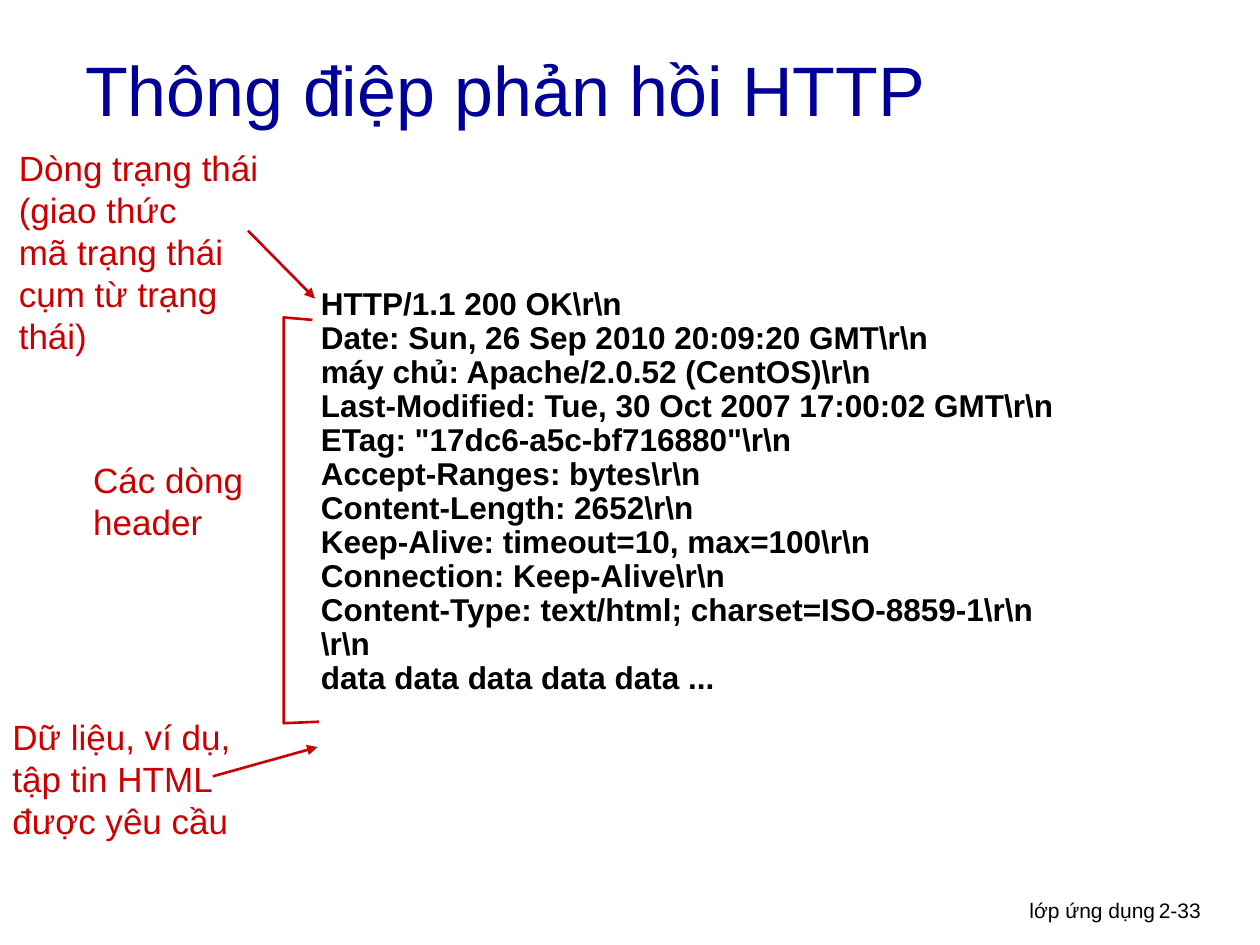
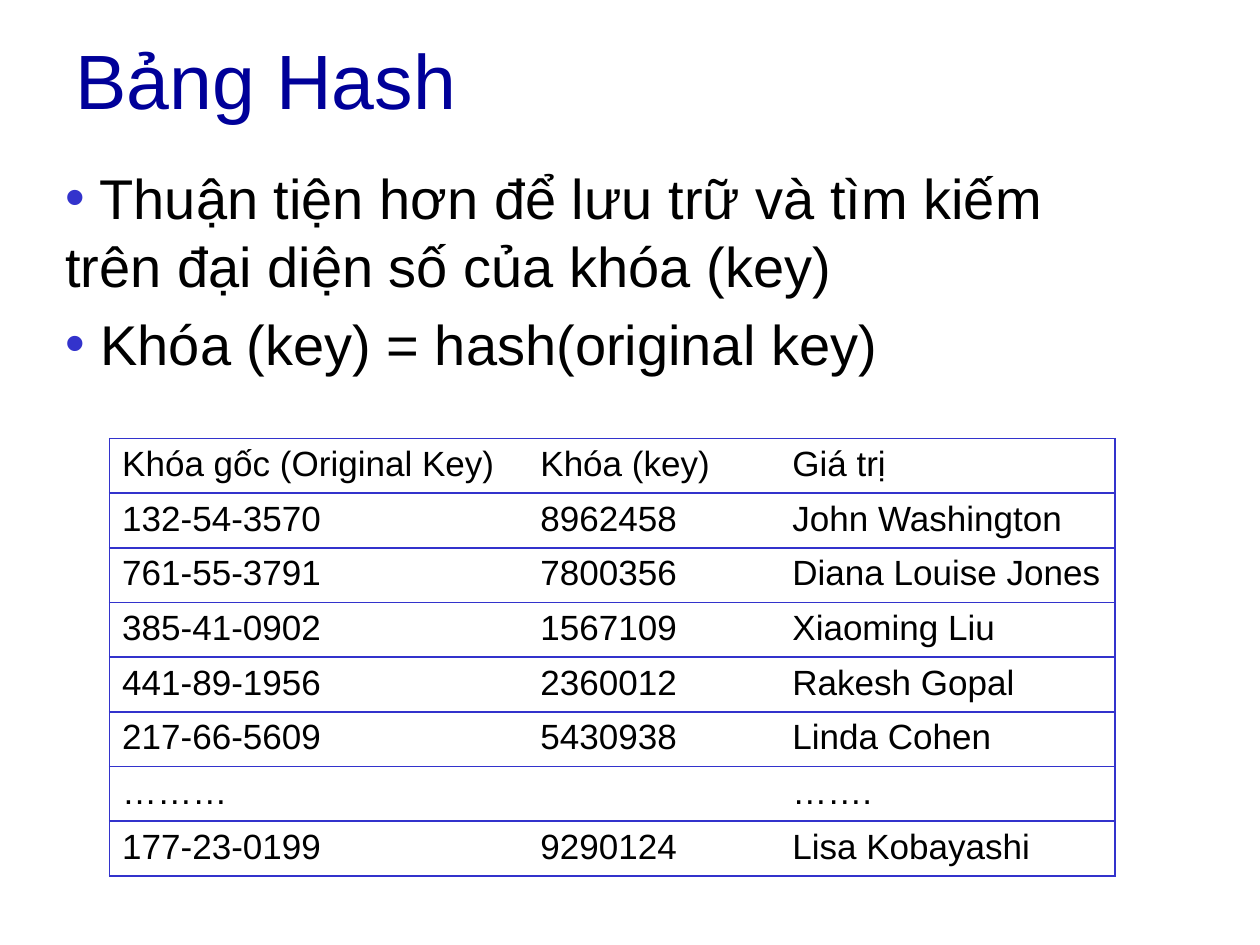
from dataclasses import dataclass

from lxml.etree import SubElement
from pptx import Presentation
from pptx.dml.color import RGBColor
from pptx.enum.shapes import MSO_CONNECTOR
from pptx.enum.text import MSO_ANCHOR, PP_ALIGN
from pptx.oxml.ns import qn
from pptx.util import Cm, Pt


@dataclass(frozen=True)
class Theme:
    """Colours, font and type sizes shared by the slides."""
    font: str = "Arial"
    title: str = "000099"
    body: str = "000000"
    accent: str = "CC0000"
    rule: str = "3333CC"
    paper: str = "FFFFFF"
    footer_size: int = 12
    code_size: int = 18
    label_size: int = 20
    bullet_size: int = 32
    title_size: int = 40
    big_title_size: int = 44
    arrow_width: float = 1.5
    border_width: float = 1


@dataclass(frozen=True)
class Box:
    """A rectangle measured in centimetres."""
    left: float
    top: float
    width: float
    height: float

    def lengths(self):
        """Return left, top, width and height as lengths."""
        return [Cm(value) for value in (self.left, self.top, self.width, self.height)]

    def inside(self, left, top, width, height):
        """Return a box placed relative to this one."""
        return Box(self.left + left, self.top + top, width, height)

    def point(self, across, down):
        """Return a point placed relative to this box."""
        return Cm(self.left + across), Cm(self.top + down)


THEME = Theme()
PAGE = Box(0, 0, 25.4, 19.05)

RESPONSE = r"""HTTP/1.1 200 OK\r\n
Date: Sun, 26 Sep 2010 20:09:20 GMT\r\n
máy chủ: Apache/2.0.52 (CentOS)\r\n
Last-Modified: Tue, 30 Oct 2007 17:00:02 GMT\r\n
ETag: "17dc6-a5c-bf716880"\r\n
Accept-Ranges: bytes\r\n
Content-Length: 2652\r\n
Keep-Alive: timeout=10, max=100\r\n
Connection: Keep-Alive\r\n
Content-Type: text/html; charset=ISO-8859-1\r\n
\r\n
data data data data data ...""".splitlines()

HASH_ROWS = [
    ("Khóa gốc (Original Key)", "Khóa (key)", "Giá trị"),
    ("132-54-3570", "8962458", "John Washington"),
    ("761-55-3791", "7800356", "Diana Louise Jones"),
    ("385-41-0902", "1567109", "Xiaoming Liu"),
    ("441-89-1956", "2360012", "Rakesh Gopal"),
    ("217-66-5609", "5430938", "Linda Cohen"),
    ("………", "", "……."),
    ("177-23-0199", "9290124", "Lisa Kobayashi"),
]


def apply(target, formats):
    """Set each attribute named in formats on the target."""
    for name, value in formats.items():
        setattr(target, name, value)


def write(para, text, size, color, bold=False):
    """Add one formatted run to a paragraph."""
    span = para.add_run()
    span.text = text
    apply(span.font, {"name": THEME.font, "size": Pt(size), "bold": bold})
    span.font.color.rgb = RGBColor.from_string(color)


def add_text(page, box, lines, size, color, bold=False, anchor=MSO_ANCHOR.TOP, **formats):
    """Add a wrapped text box with one paragraph for each line."""
    frame = page.shapes.add_textbox(*box.lengths()).text_frame
    apply(frame, {"word_wrap": True, "vertical_anchor": anchor})
    for index, line in enumerate(lines):
        para = frame.add_paragraph() if index else frame.paragraphs[0]
        apply(para, formats)
        write(para, line, size, color, bold)
    return frame


def set_indent(para, left, first):
    """Set the left margin and first-line indent of a paragraph."""
    properties = para._p.get_or_add_pPr()
    properties.set("marL", str(Cm(left)))
    properties.set("indent", str(Cm(first)))
    return properties


def add_title(page, box, text, size):
    """Add the slide title, centred vertically in its box."""
    add_text(page, box, [text], size, THEME.title, anchor=MSO_ANCHOR.MIDDLE)


def add_footer(page, box, section, number):
    """Add the section name and the page number."""
    add_text(page, box.inside(0, 0, 8.05, 0.78), [section], THEME.footer_size,
             THEME.body, alignment=PP_ALIGN.RIGHT)
    add_text(page, box.inside(7.62, 0, 1.88, 0.78), [number], THEME.footer_size, THEME.body)


def add_arrow(page, start, end):
    """Add an accent line with an arrowhead at its end."""
    arrow = page.shapes.add_connector(MSO_CONNECTOR.STRAIGHT, *start, *end)
    arrow.line.color.rgb = RGBColor.from_string(THEME.accent)
    arrow.line.width = Pt(THEME.arrow_width)
    properties = arrow._element.spPr
    SubElement(properties.find(qn("a:ln")), qn("a:tailEnd"), type="triangle")
    SubElement(properties, qn("a:effectLst"))


def add_header_bracket(page, box):
    """Add the open bracket that spans the header lines."""
    corners = [(0.58, 0.05), (0, 0), (0, box.height), (0.71, box.height - 0.03)]
    start, *rest = [box.point(*corner) for corner in corners]
    builder = page.shapes.build_freeform(*start)
    builder.add_line_segments(rest, close=False)
    bracket = builder.convert_to_shape()
    bracket.shadow.inherit = False
    bracket.fill.background()
    bracket.line.color.rgb = RGBColor.from_string(THEME.accent)
    bracket.line.width = Pt(THEME.arrow_width)


def add_callouts(page, box):
    """Add the labels, arrows and bracket beside the response."""
    labels = [
        (box.inside(0.13, 0, 6.07, 4.6),
         ["Dòng trạng thái", "(giao thức", "mã trạng thái", "cụm từ trạng thái)"]),
        (box.inside(1.63, 6.3, 3.56, 2), ["Các dòng", "header"]),
        (box.inside(0, 11.48, 5.13, 2.82),
         ["Dữ liệu, ví dụ,", "tập tin HTML", "được yêu cầu"]),
    ]
    for place, lines in labels:
        add_text(page, place, lines, THEME.label_size, THEME.accent)
    add_arrow(page, box.point(5, 1.83), box.point(6.35, 3.2))
    add_arrow(page, box.point(4.29, 12.83), box.point(6.4, 12.24))
    add_header_bracket(page, box.inside(5.72, 3.58, 0.71, 8.18))


def add_response(page, box):
    """Add the lines of the HTTP response."""
    frame = add_text(page, box, RESPONSE, THEME.code_size, THEME.body,
                     bold=True, line_spacing=0.9)
    for para in frame.paragraphs:
        set_indent(para, 0.97, -0.97)


def add_bullets(page, box, lines):
    """Add bulleted paragraphs with coloured markers."""
    frame = add_text(page, box, lines, THEME.bullet_size, THEME.body)
    for index, para in enumerate(frame.paragraphs):
        if index:
            para.space_before = Pt(6.4)
        properties = set_indent(para, 0, -0.48)
        color = SubElement(properties, qn("a:buClr"))
        SubElement(color, qn("a:srgbClr"), val=THEME.rule)
        SubElement(properties, qn("a:buFont"), typeface=THEME.font)
        SubElement(properties, qn("a:buChar"), char="•")


def set_borders(cell, shown):
    """Draw the shown sides of a cell and hide the others."""
    properties = cell._tc.get_or_add_tcPr()
    for index, side in enumerate("LRTB"):
        line = SubElement(properties, qn(f"a:ln{side}"), w=str(Pt(THEME.border_width)))
        if side in shown:
            fill = SubElement(line, qn("a:solidFill"))
            SubElement(fill, qn("a:srgbClr"), val=THEME.rule)
        else:
            SubElement(line, qn("a:noFill"))
        properties.insert(index, line)


def add_hash_table(page, box, widths):
    """Add the table of keys, hashes and values."""
    table = page.shapes.add_table(len(HASH_ROWS), len(widths), *box.lengths()).table
    apply(table, {"first_row": False, "horz_banding": False})
    for column, width in zip(table.columns, widths):
        column.width = Cm(width)
    for row, values in zip(table.rows, HASH_ROWS):
        row.height = Cm(box.height / len(HASH_ROWS))
        for index, (cell, value) in enumerate(zip(row.cells, values)):
            cell.fill.solid()
            cell.fill.fore_color.rgb = RGBColor.from_string(THEME.paper)
            if value:
                write(cell.text_frame.paragraphs[0], value, THEME.label_size, THEME.body)
            sides = {0: "LTB", len(widths) - 1: "RTB"}
            set_borders(cell, sides.get(index, "TB"))


def build_response_slide(page, box):
    """Build the slide on the HTTP response message."""
    add_footer(page, box.inside(15.49, 17.96, 9.5, 0.78), "lớp ứng dụng", "2-33")
    add_title(page, box.inside(1.47, 0.43, 21.59, 2.72),
              "Thông điệp phản hồi HTTP", THEME.title_size)
    add_callouts(page, box.inside(0, 2.82, 6.43, 14.3))
    add_response(page, box.inside(6.22, 5.69, 17.53, 8.56))


def build_hash_slide(page, box):
    """Build the slide on the hash table."""
    add_hash_table(page, box.inside(2.21, 8.84, 20.27, 8.82), [8.43, 5.08, 6.76])
    add_bullets(page, box.inside(1.07, 3.18, 22.43, 5.66), [
        " Thuận tiện hơn để lưu trữ và tìm kiếm trên đại diện số của khóa (key)",
        " Khóa (key) = hash(original key)",
    ])
    add_title(page, box.inside(1.27, 0, 22.86, 3.18), "Bảng Hash", THEME.big_title_size)


def main():
    """Build and save the deck."""
    deck = Presentation()
    apply(deck, {"slide_width": Cm(PAGE.width), "slide_height": Cm(PAGE.height)})
    for build in (build_response_slide, build_hash_slide):
        build(deck.slides.add_slide(deck.slide_layouts[6]), PAGE)
    deck.save("out.pptx")


if __name__ == "__main__":
    main()
